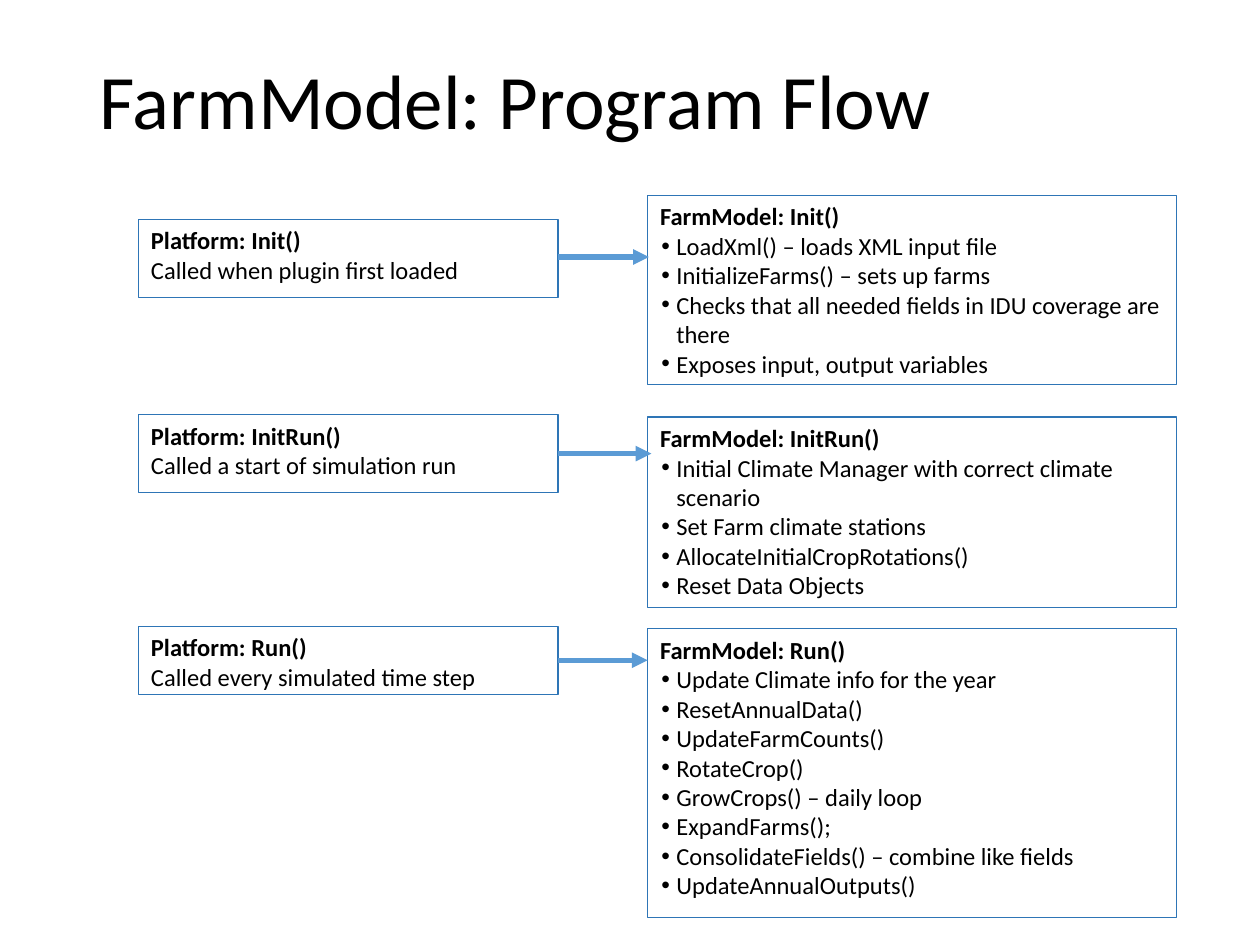
import dataclasses

import lxml.etree
import pptx
import pptx.dml.color
import pptx.enum.shapes
import pptx.enum.text
import pptx.oxml.ns
import pptx.util

Inches = pptx.util.Inches
Pt = pptx.util.Pt
qn = pptx.oxml.ns.qn


@dataclasses.dataclass(frozen=True)
class Theme:
    font: str = "Calibri"
    text: str = "000000"
    outline: str = "2E75B6"
    arrow: str = "5B9BD5"
    title_size: int = 44
    body_size: int = 14
    outline_width: float = 0.75
    arrow_width: float = 3


@dataclasses.dataclass(frozen=True)
class Box:
    top: float
    height: float
    heading: str
    lines: tuple


THEME = Theme()
CALLER_LEFT, CALLER_WIDTH = 1.1, 3.33
MODEL_LEFT, MODEL_WIDTH = 5.14, 4.2

STEPS = [
    (
        Box(1.74, 0.62, "Platform: Init()", ("Called when plugin first loaded",)),
        Box(1.55, 1.5, "FarmModel: Init()", (
            "LoadXml() – loads XML input file",
            "InitializeFarms() – sets up farms",
            "Checks that all needed fields in IDU coverage are there",
            "Exposes input, output variables",
        )),
        (2.04, 5.15),
    ),
    (
        Box(3.29, 0.62, "Platform: InitRun()", ("Called a start of simulation run",)),
        Box(3.31, 1.51, "FarmModel: InitRun()", (
            "Initial Climate Manager with correct climate scenario",
            "Set Farm climate stations",
            "AllocateInitialCropRotations()",
            "Reset Data Objects",
        )),
        (3.6, 5.17),
    ),
    (
        Box(4.97, 0.54, "Platform: Run()", ("Called every simulated time step",)),
        Box(4.99, 2.29, "FarmModel: Run()", (
            "Update Climate info for the year",
            "ResetAnnualData()",
            "UpdateFarmCounts()",
            "RotateCrop()",
            "GrowCrops() – daily loop",
            "ExpandFarms();",
            "ConsolidateFields() – combine like fields",
            "UpdateAnnualOutputs()",
        )),
        (5.24, 5.14),
    ),
]


def color(value):
    return pptx.dml.color.RGBColor.from_string(value)


def add_run(paragraph, text, size, bold=False):
    paragraph.alignment = pptx.enum.text.PP_ALIGN.LEFT
    run = paragraph.add_run()
    run.text = text
    run.font.name = THEME.font
    run.font.size = Pt(size)
    run.font.bold = bold
    run.font.color.rgb = color(THEME.text)


def add_bullet(paragraph):
    properties = paragraph._p.get_or_add_pPr()
    properties.set("marL", str(Inches(0.13)))
    properties.set("indent", str(Inches(-0.12)))
    font = lxml.etree.SubElement(properties, qn("a:buFont"))
    font.set("typeface", "Arial")
    bullet = lxml.etree.SubElement(properties, qn("a:buChar"))
    bullet.set("char", "•")


def set_title(slide, text):
    title = slide.shapes.title
    title.left, title.top = Inches(0.69), Inches(0.4)
    title.width, title.height = Inches(8.62), Inches(0.86)
    frame = title.text_frame
    frame.word_wrap = True
    frame.vertical_anchor = pptx.enum.text.MSO_ANCHOR.MIDDLE
    frame.auto_size = pptx.enum.text.MSO_AUTO_SIZE.NONE
    paragraph = frame.paragraphs[0]
    paragraph.line_spacing = 0.9
    add_run(paragraph, text, THEME.title_size)


def add_box(slide, box, left, width, bulleted):
    shape = slide.shapes.add_shape(
        pptx.enum.shapes.MSO_SHAPE.RECTANGLE,
        Inches(left), Inches(box.top), Inches(width), Inches(box.height),
    )
    shape.shadow.inherit = False
    shape.fill.background()
    shape.line.color.rgb = color(THEME.outline)
    shape.line.width = Pt(THEME.outline_width)
    frame = shape.text_frame
    frame.word_wrap = True
    frame.vertical_anchor = pptx.enum.text.MSO_ANCHOR.TOP
    add_run(frame.paragraphs[0], box.heading, THEME.body_size, bold=True)
    for line in box.lines:
        paragraph = frame.add_paragraph()
        add_run(paragraph, line, THEME.body_size)
        if bulleted:
            add_bullet(paragraph)


def add_arrow(slide, start, end, y):
    arrow = slide.shapes.add_connector(
        pptx.enum.shapes.MSO_CONNECTOR.STRAIGHT,
        Inches(start), Inches(y), Inches(end), Inches(y),
    )
    arrow.line.color.rgb = color(THEME.arrow)
    arrow.line.width = Pt(THEME.arrow_width)
    head = lxml.etree.SubElement(arrow.line._get_or_add_ln(), qn("a:tailEnd"))
    head.set("type", "triangle")
    lxml.etree.SubElement(arrow._element.spPr, qn("a:effectLst"))


def main():
    presentation = pptx.Presentation()
    presentation.slide_width = Inches(10)
    presentation.slide_height = Inches(7.5)
    slide = presentation.slides.add_slide(presentation.slide_layouts[5])
    set_title(slide, "FarmModel: Program Flow")
    for caller, model, (arrow_y, arrow_end) in STEPS:
        add_box(slide, caller, CALLER_LEFT, CALLER_WIDTH, bulleted=False)
        add_box(slide, model, MODEL_LEFT, MODEL_WIDTH, bulleted=True)
        add_arrow(slide, CALLER_LEFT + CALLER_WIDTH, arrow_end, arrow_y)
    presentation.save("out.pptx")


main()
